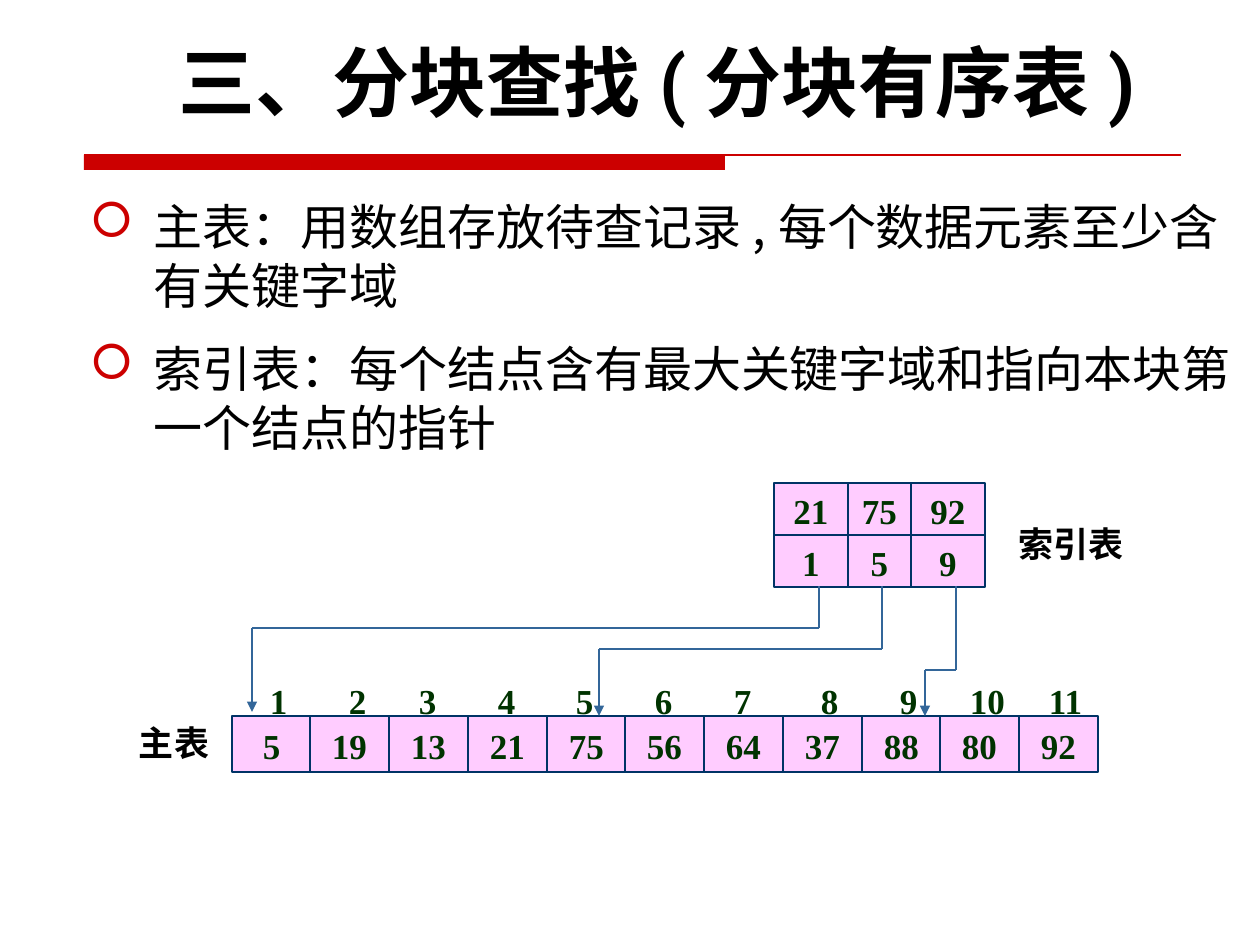
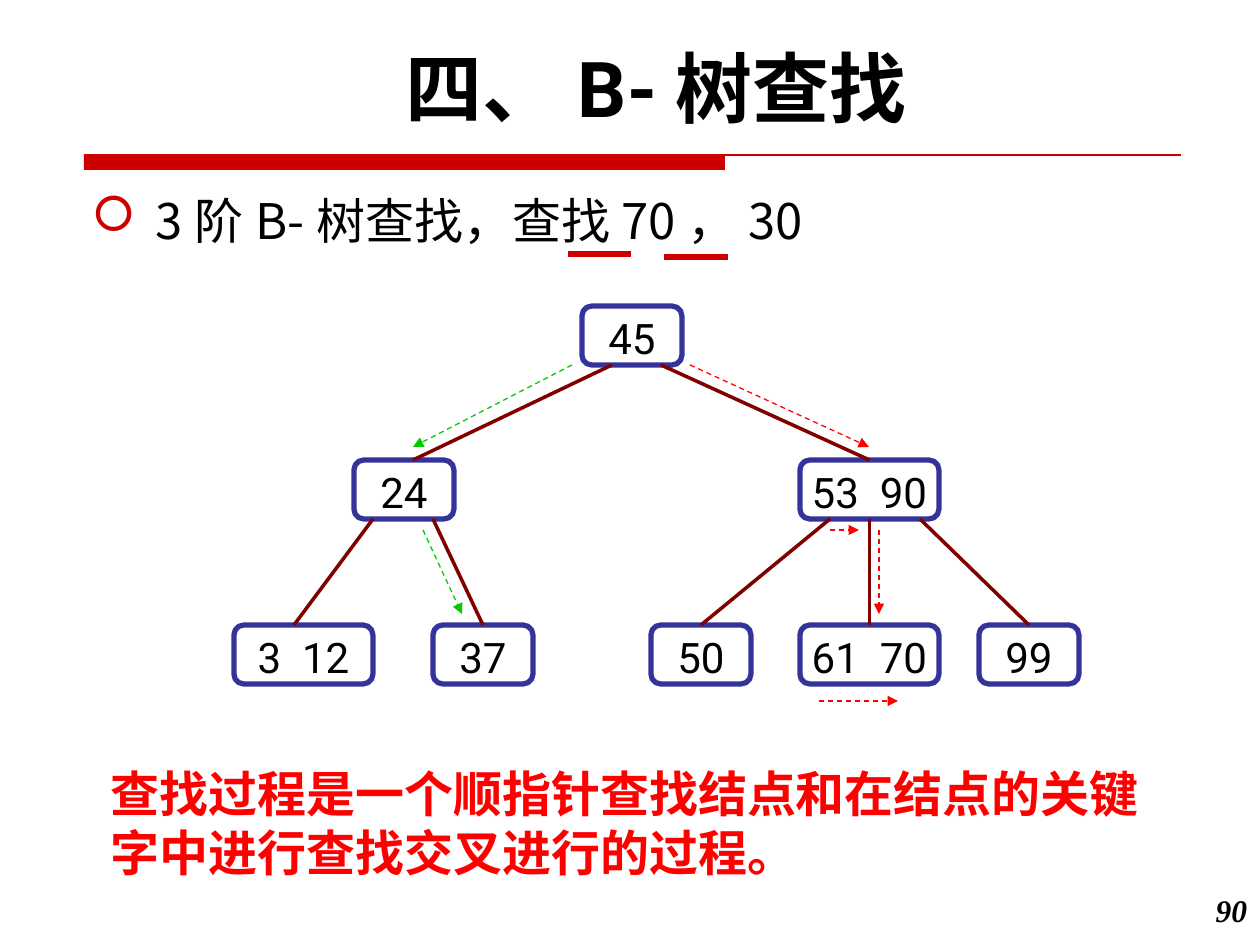
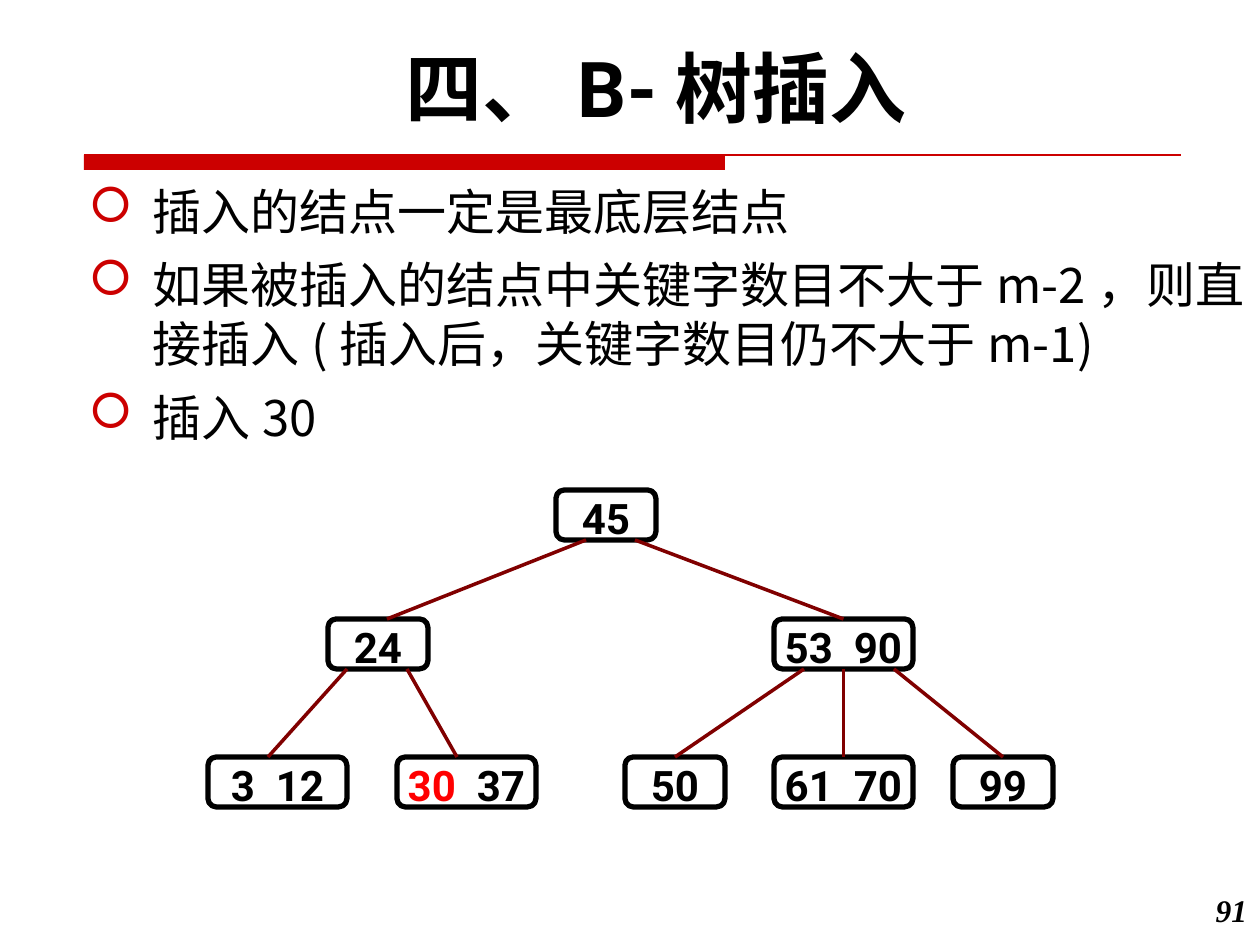
from dataclasses import dataclass

from lxml import etree
from pptx import Presentation
from pptx import util as u
from pptx.dml.color import RGBColor
from pptx.enum import dml, shapes, text
from pptx.oxml.ns import qn

PX_PER_INCH = 126
LINE_HEIGHT = 1.2
TOP_SHIFT = 0.11
BLANK = 6

COLORS = {
    "rule": "CC0000", "ink": "000000", "digit": "003300", "cell": "FFCCFF",
    "cell_edge": "003366", "pointer": "336699", "node": "333399",
    "branch": "800000", "red": "FF0000", "green": "00CC00",
}
CJK, SANS, SERIF = "Noto Sans CJK SC", "Roboto", "Times New Roman"


@dataclass(frozen=True)
class Font:
    name: str
    size: int
    color: str = "ink"
    bold: bool = False
    italic: bool = False


@dataclass(frozen=True)
class Box:
    x: int
    y: int
    w: int
    h: int


@dataclass(frozen=True)
class Stroke:
    color: str
    width: float
    dashed: bool = False
    arrow: bool = False


@dataclass(frozen=True)
class Segment:
    x1: int
    y1: int
    x2: int
    y2: int
    stroke: Stroke


@dataclass(frozen=True)
class Pointer:
    start: int
    bend: int
    end: int
    tip: int


@dataclass(frozen=True)
class Node:
    keys: tuple[str, ...]
    x: int
    level: int

    @property
    def width(self) -> int:
        return 139 if len(self.keys) > 1 else 100


@dataclass(frozen=True)
class Edge:
    parent: str
    child: str
    x1: int
    x2: int


@dataclass(frozen=True)
class TreeStyle:
    dx: int
    levels: tuple[int, int, int]
    height: int
    outline: str
    bold: bool
    new_key: str = ""


TITLE = Font(SANS, 44, bold=True)
BODY = Font(CJK, 28)
LABEL = Font(SERIF, 20, bold=True)
DIGIT = Font(SERIF, 20, "digit", bold=True)
REMARK = Font(SERIF, 28, "red", bold=True)
PAGE = Font(SERIF, 18, bold=True, italic=True)

CENTER, LEFT, RIGHT = text.PP_ALIGN.CENTER, text.PP_ALIGN.LEFT, text.PP_ALIGN.RIGHT

POINTER = Stroke("pointer", 1.5)
POINTER_TIP = Stroke("pointer", 1.5, arrow=True)
BRANCH = Stroke("branch", 2)
UNDERLINE = Stroke("rule", 3)
SEARCH_70 = Stroke("red", 0.75, dashed=True, arrow=True)
SEARCH_30 = Stroke("green", 0.75, dashed=True, arrow=True)

MAIN_KEYS = (5, 19, 13, 21, 75, 56, 64, 37, 88, 80, 92)
INDEX_COLUMNS = ((774, 74, "21", "1"), (848, 63, "75", "5"), (911, 74, "92", "9"))
NUMBER_TABS = (79, 149, 228, 306, 385, 464, 551, 630, 700, 779)
POINTERS = (
    Pointer(819, 628, 252, 712),
    Pointer(882, 649, 599, 716),
    Pointer(956, 670, 925, 716),
)

TREE = {
    "root": Node(("45",), 582, 0),
    "left": Node(("24",), 354, 1),
    "right": Node(("53", "90"), 800, 1),
    "leaf1": Node(("3", "12"), 234, 2),
    "leaf2": Node(("37",), 433, 2),
    "leaf3": Node(("50",), 651, 2),
    "leaf4": Node(("61", "70"), 800, 2),
    "leaf5": Node(("99",), 979, 2),
}
TREE_AFTER_INSERT = {**TREE, "leaf2": Node(("30", "37"), 423, 2)}
EDGES = (
    Edge("root", "left", 612, 413),
    Edge("root", "right", 661, 869),
    Edge("left", "leaf1", 373, 294),
    Edge("left", "leaf2", 433, 483),
    Edge("right", "leaf3", 830, 701),
    Edge("right", "leaf4", 869, 869),
    Edge("right", "leaf5", 920, 1028),
)
SEARCH_STEPS = (
    Segment(690, 365, 869, 447, SEARCH_70),
    Segment(879, 530, 879, 614, SEARCH_70),
    Segment(830, 530, 859, 530, SEARCH_70),
    Segment(819, 701, 898, 701, SEARCH_70),
    Segment(572, 365, 413, 447, SEARCH_30),
    Segment(423, 530, 462, 614, SEARCH_30),
    Segment(568, 254, 631, 254, UNDERLINE),
    Segment(664, 257, 728, 257, UNDERLINE),
)


def px(n: float) -> u.Emu:
    return u.Emu(round(n * 914400 / PX_PER_INCH))


def rgb(name: str) -> RGBColor:
    return RGBColor.from_string(COLORS[name])


def place(b: Box) -> tuple[u.Emu, ...]:
    return px(b.x), px(b.y), px(b.w), px(b.h)


def add_run(p, content: str, font: Font, color: str = "", spacing: int = 0) -> None:
    r = p.add_run()
    r.text = content
    f = r.font
    f.name, f.size = font.name, u.Pt(font.size)
    f.bold, f.italic = font.bold, font.italic
    f.color.rgb = rgb(color or font.color)
    rpr = f._element
    etree.SubElement(rpr, qn("a:ea")).set("typeface", CJK)
    if spacing:
        rpr.set("spc", str(spacing))


def set_insets(tf, font: Font, side: int, vertical: int) -> None:
    shift = font.size / 72 * PX_PER_INCH * TOP_SHIFT
    tf.margin_left = tf.margin_right = px(side)
    tf.margin_top, tf.margin_bottom = px(vertical + shift), px(vertical)


def add_text_frame(slide, box: Box, font: Font, side: int = 13):
    tf = slide.shapes.add_textbox(*place(box)).text_frame
    tf.word_wrap = True
    set_insets(tf, font, side, 6)
    return tf


def add_label(slide, box: Box, content: str, font: Font, align=LEFT, side: int = 13) -> None:
    p = add_text_frame(slide, box, font, side).paragraphs[0]
    p.alignment = align
    if not content.isascii():
        p.line_spacing = u.Pt(font.size * LINE_HEIGHT)
    add_run(p, content, font)


def add_bullets(slide, box: Box, items: tuple[str, ...], gap: float) -> None:
    tf = add_text_frame(slide, box, BODY)
    for i, item in enumerate(items):
        p = tf.add_paragraph() if i else tf.paragraphs[0]
        p.line_spacing = u.Pt(BODY.size * LINE_HEIGHT)
        if i:
            p.space_before = u.Pt(BODY.size * gap)
        ppr = p._p.get_or_add_pPr()
        ppr.set("marL", str(px(64)))
        ppr.set("indent", str(px(-64)))
        clr = etree.SubElement(ppr, qn("a:buClr"))
        etree.SubElement(clr, qn("a:srgbClr")).set("val", COLORS["rule"])
        etree.SubElement(ppr, qn("a:buFont")).set("typeface", "Wingdings")
        etree.SubElement(ppr, qn("a:buChar")).set("char", "□")
        add_run(p, item, BODY)


def add_frame(slide, kind, box: Box, outline: str, width: float, font: Font):
    sp = slide.shapes.add_shape(kind, *place(box))
    sp.shadow.inherit = False
    sp.fill.background()
    sp.line.color.rgb = rgb(outline)
    sp.line.width = u.Pt(width)
    tf = sp.text_frame
    tf.word_wrap = False
    tf.vertical_anchor = text.MSO_ANCHOR.MIDDLE
    set_insets(tf, font, 13, 0)
    tf.paragraphs[0].alignment = CENTER
    return sp


def add_cell(slide, box: Box, content: str) -> None:
    sp = add_frame(slide, shapes.MSO_SHAPE.RECTANGLE, box, "cell_edge", 0.75, DIGIT)
    sp.fill.solid()
    sp.fill.fore_color.rgb = rgb("cell")
    add_run(sp.text_frame.paragraphs[0], content, DIGIT)


def add_segment(slide, s: Segment):
    c = slide.shapes.add_connector(
        shapes.MSO_CONNECTOR.STRAIGHT, px(s.x1), px(s.y1), px(s.x2), px(s.y2))
    c.line.color.rgb = rgb(s.stroke.color)
    c.line.width = u.Pt(s.stroke.width)
    if s.stroke.dashed:
        c.line.dash_style = dml.MSO_LINE.DASH
    if s.stroke.arrow:
        etree.SubElement(c.line._get_or_add_ln(), qn("a:tailEnd")).set("type", "triangle")
    etree.SubElement(c._element.spPr, qn("a:effectLst"))
    return c


def add_slide(prs, title: str, title_box: Box, page: str = ""):
    slide = prs.slides.add_slide(prs.slide_layouts[BLANK])
    bar = slide.shapes.add_shape(shapes.MSO_SHAPE.RECTANGLE, *place(Box(84, 155, 641, 15)))
    bar.shadow.inherit = False
    bar.fill.solid()
    bar.fill.fore_color.rgb = rgb("rule")
    bar.line.fill.background()
    add_segment(slide, Segment(84, 155, 1181, 155, Stroke("rule", 0.75)))
    add_label(slide, title_box, title, TITLE, CENTER)
    if page:
        add_label(slide, Box(1176, 882, 84, 63), page, PAGE, RIGHT)
    return slide


def add_number_row(slide, box: Box) -> None:
    p = add_text_frame(slide, box, DIGIT).paragraphs[0]
    tabs = etree.SubElement(p._p.get_or_add_pPr(), qn("a:tabLst"))
    for x in NUMBER_TABS:
        tab = etree.SubElement(tabs, qn("a:tab"))
        tab.set("pos", str(px(x)))
        tab.set("algn", "l")
    for i in range(1, len(MAIN_KEYS) + 1):
        add_run(p, f"\t{i}" if i > 1 else "1", DIGIT)


def add_tree(slide, nodes: dict[str, Node], style: TreeStyle) -> None:
    font = Font(SANS, 24, bold=style.bold)
    boxes, frames = {}, {}
    for name, node in nodes.items():
        box = Box(node.x + style.dx, style.levels[node.level], node.width, style.height)
        sp = add_frame(slide, shapes.MSO_SHAPE.ROUNDED_RECTANGLE, box, style.outline, 3, font)
        p = sp.text_frame.paragraphs[0]
        for i, key in enumerate(node.keys):
            if i:
                add_run(p, " ", font, spacing=600)
            add_run(p, key, font, "red" if key == style.new_key else "")
        boxes[name], frames[name] = box, sp
    for e in EDGES:
        parent, child = boxes[e.parent], boxes[e.child]
        x1, x2 = e.x1 + style.dx, e.x2 + style.dx
        c = add_segment(slide, Segment(x1, parent.y + parent.h, x2, child.y, BRANCH))
        if abs(x1 - parent.x - parent.w / 2) <= 1:
            c.begin_connect(frames[e.parent], 2)
        if abs(x2 - child.x - child.w / 2) <= 1:
            c.end_connect(frames[e.child], 0)


def block_search(prs) -> None:
    slide = add_slide(prs, "三、分块查找(分块有序表)", Box(74, 20, 1166, 106))
    add_bullets(slide, Box(77, 185, 1182, 289), (
        "主表：用数组存放待查记录,每个数据元素至少含有关键字域",
        "索引表：每个结点含有最大关键字域和指向本块第一个结点的指针",
    ), 0.5)
    add_number_row(slide, Box(257, 670, 882, 54))
    for i, key in enumerate(MAIN_KEYS):
        add_cell(slide, Box(232 + i * 315 // 4, 716, 79, 56), str(key))
    for x, w, largest, first in INDEX_COLUMNS:
        for row, value in enumerate((largest, first)):
            add_cell(slide, Box(x, 483 + 52 * row, w, 52), value)
    for t in POINTERS:
        add_segment(slide, Segment(t.start, 586, t.start, t.bend, POINTER))
        add_segment(slide, Segment(t.start, t.bend, t.end, t.bend, POINTER))
        add_segment(slide, Segment(t.end, t.bend, t.end, t.tip, POINTER_TIP))
    add_label(slide, Box(126, 712, 105, 54), "主表", LABEL)
    add_label(slide, Box(1008, 513, 126, 54), "索引表", LABEL, CENTER, side=0)


def tree_search(prs) -> None:
    slide = add_slide(prs, "四、B-树查找", Box(73, 26, 1166, 106), "90")
    add_bullets(slide, Box(79, 179, 1207, 557), ("3阶B-树查找，查找70，30",), 0.3)
    add_tree(slide, TREE, TreeStyle(0, (306, 460, 625), 59, "node", False))
    for step in SEARCH_STEPS:
        add_segment(slide, step)
    add_label(slide, Box(98, 752, 1082, 131),
              "查找过程是一个顺指针查找结点和在结点的关键字中进行查找交叉进行的过程。", REMARK)


def tree_insert(prs) -> None:
    slide = add_slide(prs, "四、B-树插入", Box(73, 26, 1166, 106), "91")
    add_bullets(slide, Box(76, 170, 1207, 282), (
        "插入的结点一定是最底层结点",
        "如果被插入的结点中关键字数目不大于m-2，则直接插入(插入后，关键字数目仍不大于m-1)",
        "插入30",
    ), 0.3)
    add_tree(slide, TREE_AFTER_INSERT, TreeStyle(-26, (490, 619, 757), 50, "ink", True, "30"))


def main() -> None:
    prs = Presentation()
    prs.slide_width, prs.slide_height = px(1260), px(945)
    for build in (block_search, tree_search, tree_insert):
        build(prs)
    prs.save("out.pptx")


if __name__ == "__main__":
    main()
